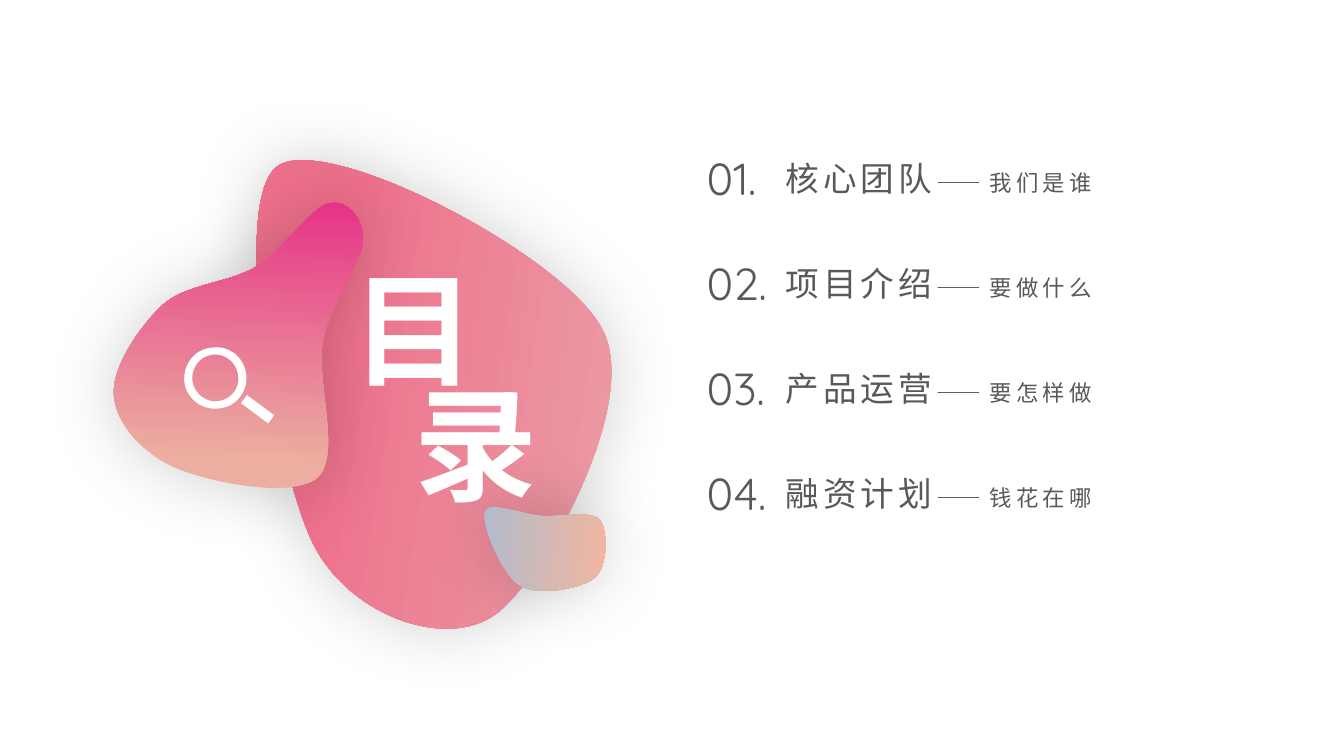
from math import cos, radians, sin

from lxml.etree import SubElement
from pptx import Presentation
from pptx.dml.color import RGBColor
from pptx.enum.text import MSO_ANCHOR, MSO_AUTO_SIZE, PP_ALIGN
from pptx.oxml.ns import qn
from pptx.util import Inches, Pt

COLORS = {
    "white": "FFFFFF", "text": "595959", "shadow": "000000",
    "rose light": "E9ABAD", "rose": "EE708C",
    "peach": "ECAEA0", "magenta": "E52E86",
    "blue": "AABCD1", "orange": "FDB597",
}
CHINESE_FONT = "Noto Sans CJK SC"
NUMBER_FONT = "Quicksand"
ROW_PITCH = 1.04

BLOBS = [
    {"frame": (0.64, 0.89, 4.87, 3.6), "rotation": 234.1,
     "contours": [[(2.1, 4.38),
                   (1.74, 3.64, 1.27, 1.01, 1.75, 0.65), (2.23, 0.3, 4.62, 1.54, 4.98, 2.28),
                   (5.35, 3.01, 4.4, 4.73, 3.92, 5.09), (3.44, 5.45, 2.46, 5.12, 2.1, 4.38)]],
     "stops": [(0, "rose light"), (0.63, "rose")], "angle": 45},
    {"frame": (0.17, 1.42, 3.11, 2.3), "rotation": 138.1,
     "contours": [[(2.6, 1.38),
                   (2.59, 1.61, 2.27, 2, 2.2, 2.39), (2.13, 2.78, 2.39, 3.53, 2.15, 3.74),
                   (1.91, 3.95, 1.1, 3.79, 0.76, 3.65), (0.43, 3.52, 0.15, 3.2, 0.13, 2.93),
                   (0.1, 2.66, 0.38, 2.24, 0.62, 2.02), (0.86, 1.81, 1.28, 1.81, 1.55, 1.64),
                   (1.82, 1.47, 2.08, 1.06, 2.26, 1.02), (2.43, 0.97, 2.61, 1.16, 2.6, 1.38)]],
     "stops": [(0.25, "peach"), (0.93, "magenta")], "angle": 225},
    {"frame": (3.82, 3.82, 1.21, 1.04), "rotation": 50.2,
     "contours": [[(4.38, 4.12),
                   (4.57, 4.13, 4.86, 4.06, 4.95, 4.16), (5.03, 4.26, 5.03, 4.62, 4.9, 4.73),
                   (4.77, 4.84, 4.34, 4.92, 4.16, 4.81), (3.98, 4.71, 3.77, 4.19, 3.81, 4.08),
                   (3.84, 3.96, 4.19, 4.11, 4.38, 4.12)]],
     "stops": [(0.03, "blue"), (1, "orange")], "angle": 45},
]
MAGNIFIER = {
    "frame": (0.84, 2.42, 0.82, 0.83), "rotation": 350.7,
    "contours": [
        [(1.44, 2.7), (1.41, 2.53, 1.26, 2.42, 1.09, 2.45), (0.92, 2.47, 0.81, 2.63, 0.83, 2.8),
         (0.86, 2.97, 1.02, 3.08, 1.19, 3.05), (1.35, 3.03, 1.47, 2.87, 1.44, 2.7)],
        [(1.17, 2.98), (1.05, 3, 0.93, 2.91, 0.91, 2.79), (0.89, 2.66, 0.97, 2.54, 1.1, 2.52),
         (1.23, 2.5, 1.34, 2.59, 1.36, 2.71), (1.39, 2.84, 1.3, 2.96, 1.17, 2.98)],
        [(1.72, 3.12), (1.66, 3.2), (1.39, 3), (1.45, 2.92), (1.72, 3.12)],
    ],
}
AGENDA = [("核心团队", "我们是谁"), ("项目介绍", "要做什么"),
          ("产品运营", "要怎样做"), ("融资计划", "钱花在哪")]


def color(name):
    """Return the named colour."""
    return RGBColor.from_string(COLORS[name])


def add_run(paragraph, text, *, size, font=CHINESE_FONT, fill="text", bold=False, spacing=0):
    """Add a formatted run to a paragraph."""
    run = paragraph.add_run()
    run.text = text
    run.font.size = Pt(size)
    run.font.bold = bold
    run.font.color.rgb = color(fill)
    run.font.name = font
    properties = run.font._element
    SubElement(properties, qn("a:ea")).set("typeface", font)
    if spacing:
        properties.set("spc", str(spacing * 100))


def add_label(slide, left, top, width, height, wrap=True):
    """Add an empty text box and return its first paragraph."""
    box = slide.shapes.add_textbox(Inches(left), Inches(top), Inches(width), Inches(height))
    box.text_frame.word_wrap = wrap
    box.text_frame.auto_size = MSO_AUTO_SIZE.SHAPE_TO_FIT_TEXT
    return box.text_frame.paragraphs[0]


def unrotate(x, y, outline):
    """Turn a point back into the unrotated frame, measured from its corner."""
    left, top, width, height = outline["frame"]
    angle = radians(outline["rotation"])
    across, down = x - left - width / 2, y - top - height / 2
    return (across * cos(angle) + down * sin(angle) + width / 2,
            down * cos(angle) - across * sin(angle) + height / 2)


def add_path_step(path, tag, numbers, outline):
    """Add one move, line or curve to a path."""
    step = SubElement(path, qn(tag))
    for x, y in zip(numbers[::2], numbers[1::2]):
        local_x, local_y = unrotate(x, y, outline)
        SubElement(step, qn("a:pt"), x=str(Inches(local_x)), y=str(Inches(local_y)))


def add_outline(slide, left, top, outline):
    """Draw a rotated freeform with true curves inside its frame."""
    x, y, width, height = outline["frame"]
    x, y = left + x, top + y
    corners = [(x + width, y), (x + width, y + height), (x, y + height)]
    builder = slide.shapes.build_freeform(Inches(x), Inches(y))
    builder.add_line_segments([(Inches(a), Inches(b)) for a, b in corners])
    shape = builder.convert_to_shape()
    path = next(shape._element.iter(qn("a:path")))
    for step in list(path):
        path.remove(step)
    for start, *segments in outline["contours"]:
        add_path_step(path, "a:moveTo", start, outline)
        for segment in segments:
            tag = "a:lnTo" if len(segment) == 2 else "a:cubicBezTo"
            add_path_step(path, tag, segment, outline)
        SubElement(path, qn("a:close"))
    shape.rotation = outline["rotation"]
    shape.line.fill.background()
    shape.shadow.inherit = False
    return shape


def add_soft_shadow(shape):
    """Give a shape a wide, faint shadow."""
    effects = shape._element.spPr.find(qn("a:effectLst"))
    shadow = SubElement(effects, qn("a:outerShdw"), blurRad=str(Pt(51)), dist="0", dir="0",
                        algn="ctr", rotWithShape="0")
    shade = SubElement(shadow, qn("a:srgbClr"), val=COLORS["shadow"])
    SubElement(shade, qn("a:alpha"), val="18000")


def add_blob(slide, left, top, blob):
    """Draw one gradient blob relative to the artwork's corner."""
    shape = add_outline(slide, left, top, blob)
    shape.fill.gradient()
    shape.fill.gradient_angle = blob["angle"]
    for stop, (position, name) in zip(shape.fill.gradient_stops, blob["stops"]):
        stop.position = position
        stop.color.rgb = color(name)
    add_soft_shadow(shape)


def add_magnifier(slide, left, top):
    """Draw the white magnifier icon."""
    shape = add_outline(slide, left, top, MAGNIFIER)
    shape.fill.solid()
    shape.fill.fore_color.rgb = color("white")


def add_heading(slide, left, top):
    """Place the two large heading characters on a diagonal."""
    title = slide.shapes.title
    title.left, title.top = Inches(left), Inches(top)
    title.width, title.height = Inches(2.63), Inches(1.58)
    tree = title.element.getparent()
    tree.append(title.element)
    frame = title.text_frame
    frame.vertical_anchor = MSO_ANCHOR.TOP
    frame.auto_size = MSO_AUTO_SIZE.SHAPE_TO_FIT_TEXT
    frame.paragraphs[0].alignment = PP_ALIGN.CENTER
    second = add_label(slide, left + 1.22, top + 1.14, 1.44, 1.58, wrap=False)
    for paragraph, character in ((frame.paragraphs[0], "目"), (second, "录")):
        add_run(paragraph, character, size=88, fill="white", bold=True)


def add_agenda(slide, left, top):
    """List the numbered sections at equal distances."""
    for index, (section, question) in enumerate(AGENDA):
        row_top = top + index * ROW_PITCH
        entry = add_label(slide, left + 0.78, row_top + 0.07, 4.08, 0.5)
        add_run(entry, section, size=24, spacing=3)
        add_run(entry, f"——{question}", size=16, spacing=3)
        number = add_label(slide, left, row_top, 1.01, 0.64)
        add_run(number, f"{index + 1:02}.", size=32, font=NUMBER_FONT)


def add_artwork(slide, left, top):
    """Draw the blobs, icon and heading of the left half."""
    for blob in BLOBS:
        add_blob(slide, left, top, blob)
    add_magnifier(slide, left, top)
    add_heading(slide, left + 1.79, top + 1.46)


def main():
    """Build and save the contents slide."""
    presentation = Presentation()
    presentation.slide_width, presentation.slide_height = Inches(13.33), Inches(7.5)
    slide = presentation.slides.add_slide(presentation.slide_layouts[5])
    add_artwork(slide, 1, 1)
    add_agenda(slide, 6.91, 1.45)
    presentation.save("out.pptx")


if __name__ == "__main__":
    main()
